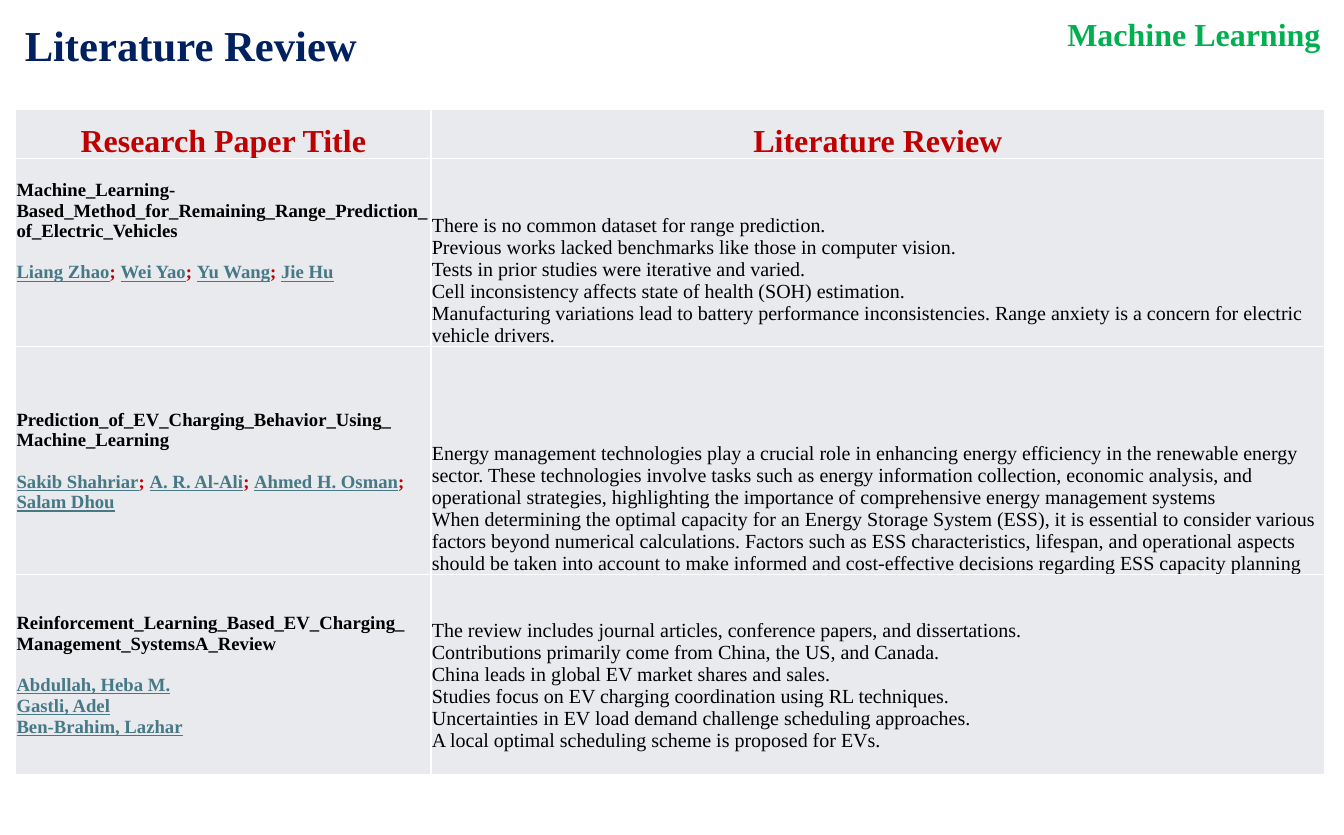
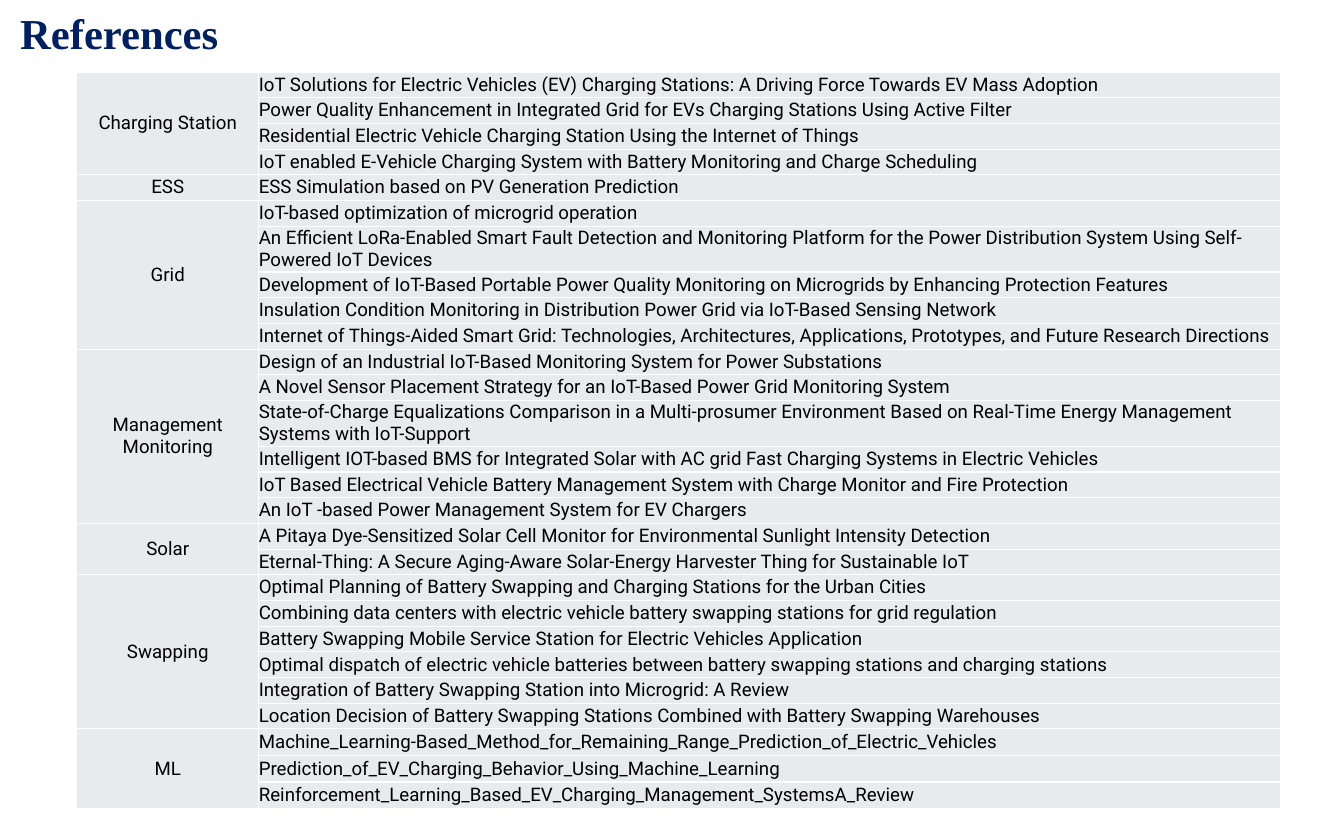
from lxml.etree import Element, SubElement
from pptx import Presentation
from pptx.dml.color import RGBColor
from pptx.enum.text import MSO_ANCHOR, PP_ALIGN
from pptx.oxml.ns import qn
from pptx.util import Pt

HUES = {
    "navy": "002060", "green": "00B050", "red": "C00000", "link": "467886",
    "black": "000000", "white": "FFFFFF", "cell": "E8EAED",
}
SERIF, SANS = "Times New Roman", "Roboto"

PAPERS = [
    (
        "Machine_Learning-Based_Method_for_Remaining_Range_Prediction_of_Electric_Vehicles",
        ["Liang Zhao", "Wei Yao", "Yu Wang", "Jie Hu"], "; ",
        [
            "There is no common dataset for range prediction.",
            "Previous works lacked benchmarks like those in computer vision.",
            "Tests in prior studies were iterative and varied.",
            "Cell inconsistency affects state of health (SOH) estimation.",
            "Manufacturing variations lead to battery performance inconsistencies. "
            "Range anxiety is a concern for electric vehicle drivers.",
        ],
        141, 33, 0,
    ),
    (
        "Prediction_of_EV_Charging_Behavior_Using_ Machine_Learning",
        ["Sakib Shahriar", "A. R. Al-Ali", "Ahmed H. Osman", "Salam Dhou"], "; ",
        [
            "Energy management technologies play a crucial role in enhancing energy "
            "efficiency in the renewable energy sector. These technologies involve tasks "
            "such as energy information collection, economic analysis, and operational "
            "strategies, highlighting the importance of comprehensive energy management systems",
            "When determining the optimal capacity for an Energy Storage System (ESS), it is "
            "essential to consider various factors beyond numerical calculations. Factors such "
            "as ESS characteristics, lifespan, and operational aspects should be taken into "
            "account to make informed and cost-effective decisions regarding ESS capacity planning",
        ],
        171, 0, 0,
    ),
    (
        "Reinforcement_Learning_Based_EV_Charging_ Management_SystemsA_Review",
        ["Abdullah, Heba M.", "Gastli, Adel", "Ben-Brahim, Lazhar"], "\n",
        [
            "The review includes journal articles, conference papers, and dissertations.",
            "Contributions primarily come from China, the US, and Canada.",
            "China leads in global EV market shares and sales.",
            "Studies focus on EV charging coordination using RL techniques.",
            "Uncertainties in EV load demand challenge scheduling approaches.",
            "A local optimal scheduling scheme is proposed for EVs.",
        ],
        150, 0, 17,
    ),
]

TOPICS = {
    "Charging Station": [
        "IoT Solutions for Electric Vehicles (EV) Charging Stations: A Driving Force Towards EV Mass Adoption",
        "Power Quality Enhancement in Integrated Grid for EVs Charging Stations Using Active Filter",
        "Residential Electric Vehicle Charging Station Using the Internet of Things",
        "IoT enabled E-Vehicle Charging System with Battery Monitoring and Charge Scheduling",
    ],
    "ESS": ["ESS Simulation based on PV Generation Prediction"],
    "Grid": [
        "IoT-based optimization of microgrid operation",
        "An Efficient LoRa-Enabled Smart Fault Detection and Monitoring Platform for the "
        "Power Distribution System Using Self-Powered IoT Devices",
        "Development of IoT-Based Portable Power Quality Monitoring on Microgrids by Enhancing Protection Features",
        "Insulation Condition Monitoring in Distribution Power Grid via IoT-Based Sensing Network",
        "Internet of Things-Aided Smart Grid: Technologies, Architectures, Applications, "
        "Prototypes, and Future Research Directions",
    ],
    "Management Monitoring": [
        "Design of an Industrial IoT-Based Monitoring System for Power Substations",
        "A Novel Sensor Placement Strategy for an IoT-Based Power Grid Monitoring System",
        "State-of-Charge Equalizations Comparison in a Multi-prosumer Environment Based on "
        "Real-Time Energy Management Systems with IoT-Support",
        "Intelligent IOT-based BMS for Integrated Solar with AC grid Fast Charging Systems in Electric Vehicles",
        "IoT Based Electrical Vehicle Battery Management System with Charge Monitor and Fire Protection",
        "An IoT -based Power Management System for EV Chargers",
    ],
    "Solar": [
        "A Pitaya Dye-Sensitized Solar Cell Monitor for Environmental Sunlight Intensity Detection",
        "Eternal-Thing: A Secure Aging-Aware Solar-Energy Harvester Thing for Sustainable IoT",
    ],
    "Swapping": [
        "Optimal Planning of Battery Swapping and Charging Stations for the Urban Cities",
        "Combining data centers with electric vehicle battery swapping stations for grid regulation",
        "Battery Swapping Mobile Service Station for Electric Vehicles Application",
        "Optimal dispatch of electric vehicle batteries between battery swapping stations and charging stations",
        "Integration of Battery Swapping Station into Microgrid: A Review",
        "Location Decision of Battery Swapping Stations Combined with Battery Swapping Warehouses",
    ],
    "ML": [
        "Machine_Learning-Based_Method_for_Remaining_Range_Prediction_of_Electric_Vehicles",
        "Prediction_of_EV_Charging_Behavior_Using_Machine_Learning",
        "Reinforcement_Learning_Based_EV_Charging_Management_SystemsA_Review",
    ],
}


class Deck:
    def __init__(self):
        self.prs = Presentation()
        self.prs.slide_width, self.prs.slide_height = Pt(1008), Pt(626.4)
        self.slide = None

    def page(self):
        self.slide = self.prs.slides.add_slide(self.prs.slide_layouts[6])

    def run(self, para, text, size, hue="black", face=SERIF, bold=False, line=False):
        for num, part in enumerate(text.split("\n")):
            if num:
                para.add_line_break()
            run = para.add_run()
            run.text = part
            font = run.font
            font.name, font.size, font.bold, font.underline = face, Pt(size), bold, line
            font.color.rgb = RGBColor.from_string(HUES[hue])

    def title(self, text, x, y, wide, size=32, hue="navy"):
        box = self.slide.shapes.add_textbox(Pt(x), Pt(y), Pt(wide), Pt(54))
        frame = box.text_frame
        frame.word_wrap = True
        frame.vertical_anchor = MSO_ANCHOR.MIDDLE
        para = frame.paragraphs[0]
        para.line_spacing = 0.9
        self.run(para, text, size, hue, bold=True)

    def table(self, x, y, cols, rows):
        shape = self.slide.shapes.add_table(
            len(rows), len(cols), Pt(x), Pt(y), Pt(sum(cols)), Pt(sum(rows)))
        grid = shape.table
        grid.first_row = grid.horz_banding = False
        for col, wide in zip(grid.columns, cols):
            col.width = Pt(wide)
        for row, high in zip(grid.rows, rows):
            row.height = Pt(high)
        for cell in grid.iter_cells():
            self.paint(cell)
        return grid

    def paint(self, cell):
        cell.fill.solid()
        cell.fill.fore_color.rgb = RGBColor.from_string(HUES["cell"])
        props = cell._tc.get_or_add_tcPr()
        for num, side in enumerate(("lnL", "lnR", "lnT", "lnB")):
            edge = Element(qn("a:" + side), w=str(Pt(1)))
            fill = SubElement(edge, qn("a:solidFill"))
            SubElement(fill, qn("a:srgbClr"), val=HUES["white"])
            props.insert(num, edge)

    def cell(self, cell, pad=0, foot=0, mid=True, center=False):
        cell.margin_left = cell.margin_right = cell.margin_top = Pt(pad)
        cell.margin_bottom = Pt(foot)
        cell.vertical_anchor = MSO_ANCHOR.MIDDLE if mid else MSO_ANCHOR.BOTTOM
        para = cell.text_frame.paragraphs[0]
        para.alignment = PP_ALIGN.CENTER if center else PP_ALIGN.LEFT
        return para


def review(deck):
    deck.page()
    grid = deck.table(11.7, 82.2, [311.5, 670.5], [37] + [paper[4] for paper in PAPERS])
    for col, head in enumerate(("Research Paper Title", "Literature Review")):
        para = deck.cell(grid.cell(0, col), 0.7, mid=False, center=True)
        deck.run(para, head, 24, "red", bold=True)
    for row, (name, team, mark, notes, high, left, right) in enumerate(PAPERS, 1):
        cell = grid.cell(row, 0)
        para = deck.cell(cell, 0.7, left)
        deck.run(para, name, 14, bold=True)
        para.space_after = Pt(15.5)
        para = cell.text_frame.add_paragraph()
        if mark == "\n":
            deck.run(para, mark.join(team), 14, "link", bold=True, line=True)
        else:
            for num, person in enumerate(team):
                if num:
                    deck.run(para, mark, 14, "red", bold=True)
                deck.run(para, person, 14, "link", bold=True, line=True)
        para = deck.cell(grid.cell(row, 1), 0.7, right, mid=False)
        deck.run(para, "\n".join(notes), 15)
    deck.title("Literature Review", 11.5, 8.6, 272)
    deck.title("Machine Learning", 793.4, 0, 212, 24, "green")


def sources(deck):
    deck.page()
    deck.title("References", 8, 0, 517)
    rows = [34.4 if len(text) > 125 else 19.9 if topic == "ML" else 19.3
            for topic, works in TOPICS.items() for text in works]
    grid = deck.table(57.6, 54, [136.5, 766], rows)
    row = 0
    for topic, works in TOPICS.items():
        first = grid.cell(row, 0)
        if len(works) > 1:
            first.merge(grid.cell(row + len(works) - 1, 0))
        deck.run(deck.cell(first, center=True), topic, 14, face=SANS)
        for text in works:
            deck.run(deck.cell(grid.cell(row, 1)), text, 14, face=SANS)
            row += 1


def main():
    deck = Deck()
    review(deck)
    sources(deck)
    deck.prs.save("out.pptx")


if __name__ == "__main__":
    main()
